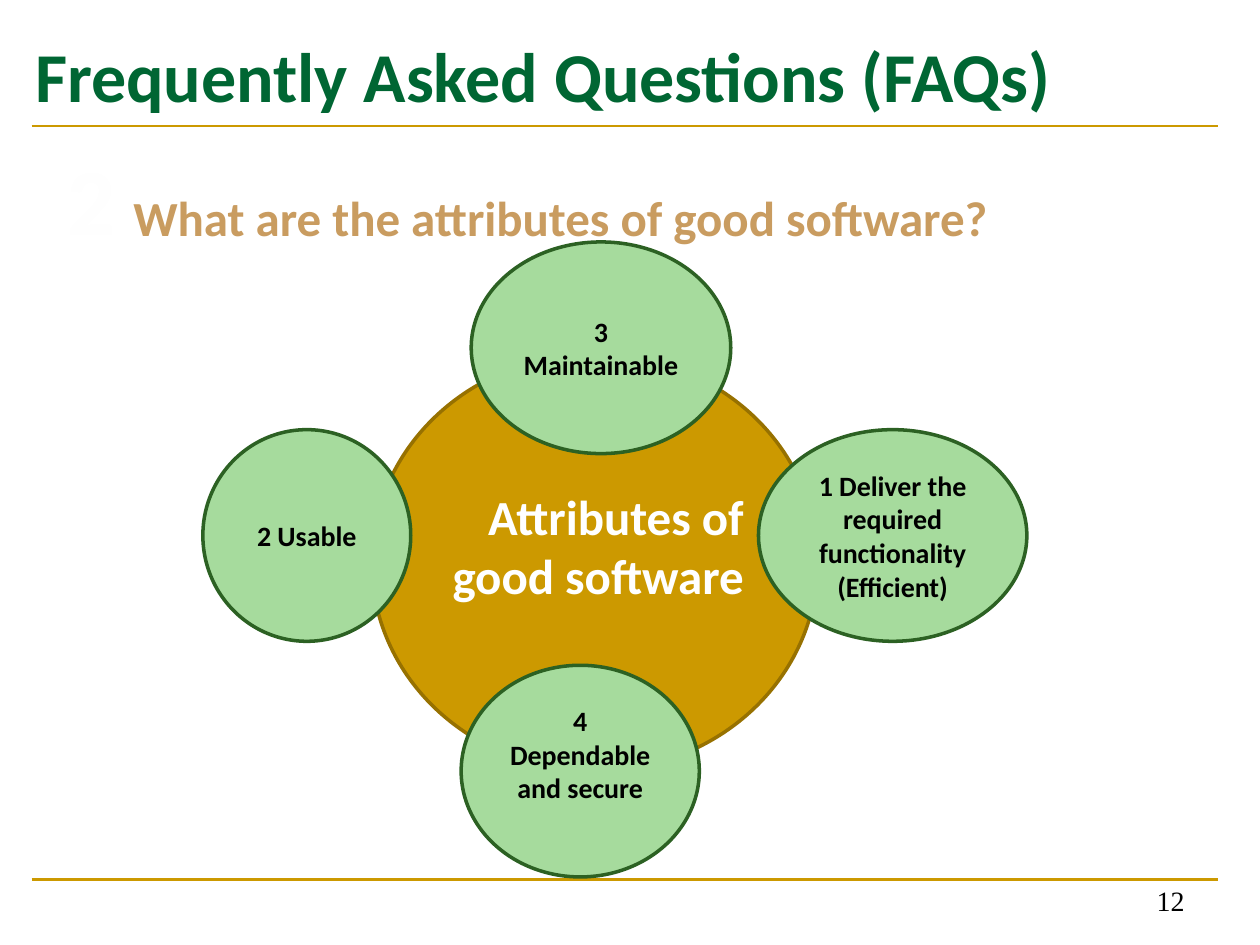
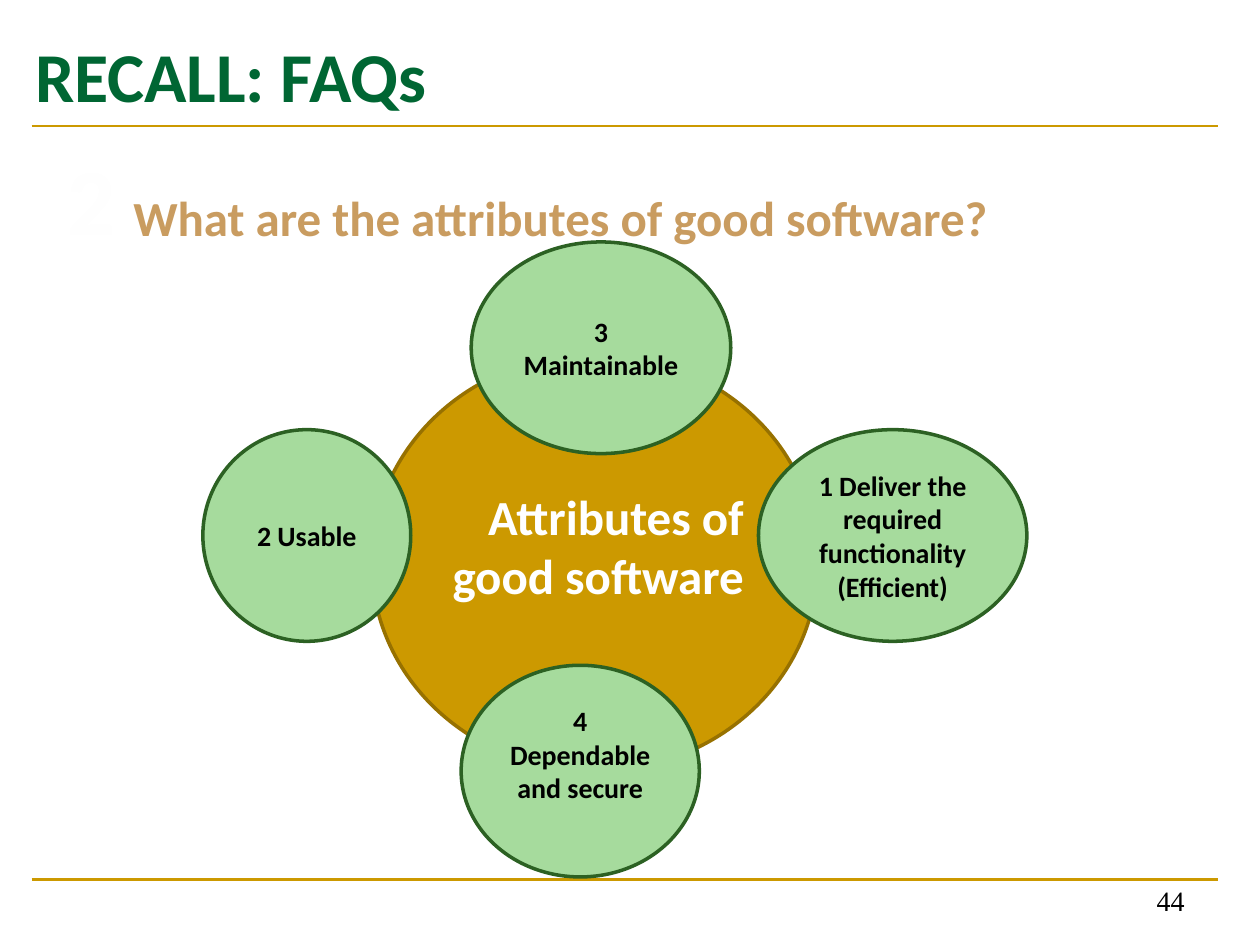
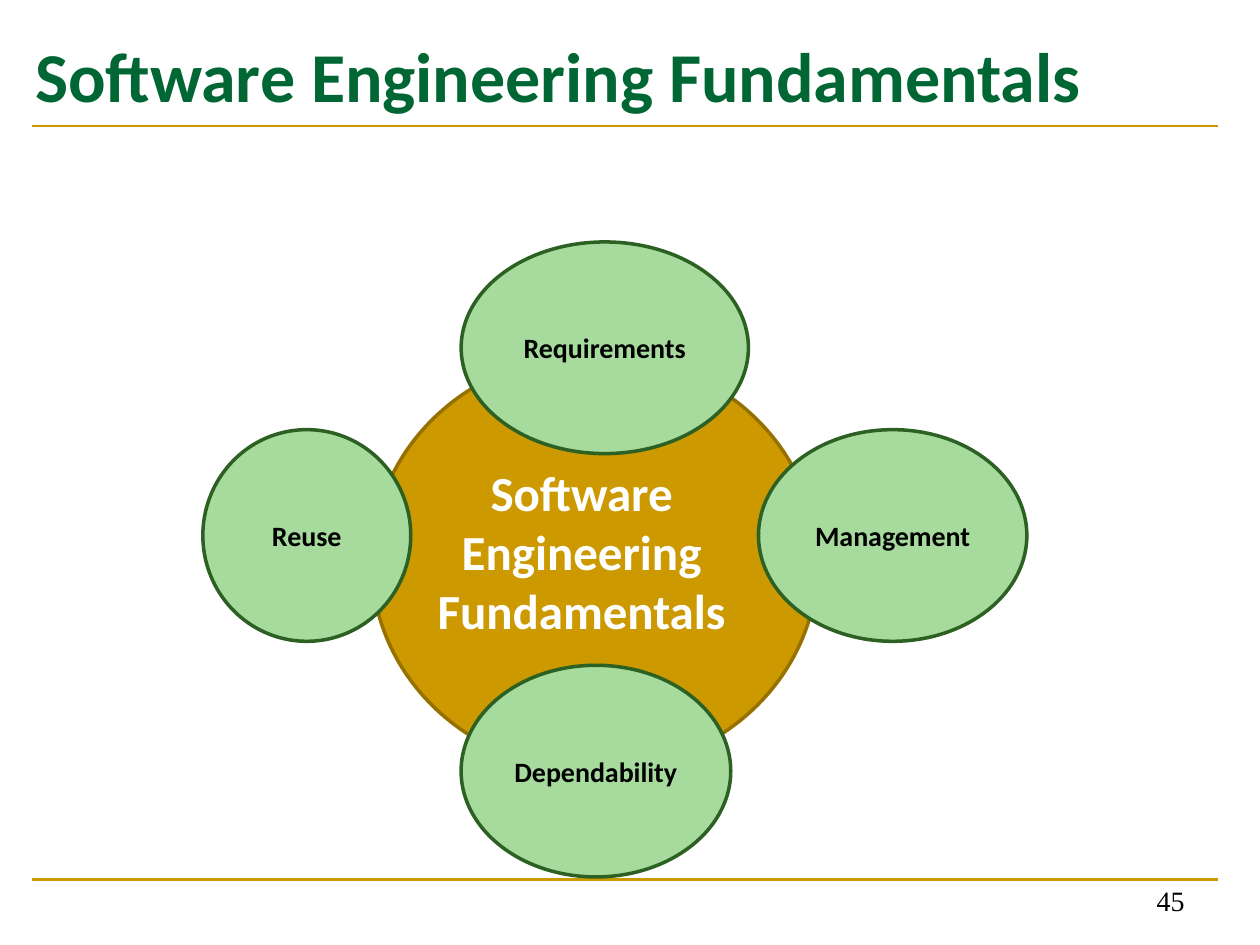
"""Build three slides on good software and software engineering fundamentals."""
from lxml.etree import SubElement
from pptx import Presentation
from pptx.dml.color import RGBColor
from pptx.enum.shapes import MSO_CONNECTOR, MSO_SHAPE
from pptx.enum.text import MSO_ANCHOR, PP_ALIGN
from pptx.oxml import parse_xml
from pptx.oxml.ns import nsdecls, qn
from pptx.util import Inches, Pt

GREEN = RGBColor(0x00, 0x66, 0x33)
GOLD = RGBColor(0xCC, 0x99, 0x00)
DARK_GOLD = RGBColor(0x97, 0x71, 0x00)
TAN = RGBColor(0xC9, 0x9C, 0x60)
LEAF = RGBColor(0xA6, 0xDB, 0x9D)
DARK_LEAF = RGBColor(0x2C, 0x61, 0x23)
BLACK = RGBColor(0x00, 0x00, 0x00)
WHITE = RGBColor(0xFF, 0xFF, 0xFF)
NEAR_WHITE = RGBColor(0xFE, 0xFE, 0xFE)

QUESTION = "What are the attributes of good software?"
ATTRIBUTES = {
    "center": ("Attributes of\ngood software", (3.45, 3.81, 2.55, 1.04), PP_ALIGN.RIGHT),
    "satellites": [
        ("1 Deliver the required functionality\n(Efficient)", (6.02, 3.41, 2.13, 1.68), 0.05),
        ("2 Usable", (1.61, 3.41, 1.65, 1.68), 0.05),
        ("4 Dependable and secure", (3.66, 5.28, 1.89, 1.68), 0.32),
        ("3 Maintainable", (3.74, 1.92, 2.06, 1.68), 0.05),
    ],
}
FUNDAMENTALS = {
    "center": ("Software Engineering Fundamentals", (3.27, 3.62, 2.69, 1.51), PP_ALIGN.CENTER),
    "satellites": [
        ("Management", (6.02, 3.41, 2.13, 1.68), 0.05),
        ("Reuse", (1.61, 3.41, 1.65, 1.68), 0.05),
        ("Dependability", (3.66, 5.28, 2.14, 1.68), 0.05),
        ("Requirements", (3.66, 1.92, 2.28, 1.68), 0.05),
    ],
}
SLIDES = [
    ("Frequently Asked Questions (FAQs)", "12", QUESTION, ATTRIBUTES),
    ("RECALL: FAQs", "44", QUESTION, ATTRIBUTES),
    ("Software Engineering Fundamentals", "45", None, FUNDAMENTALS),
]


def add_text(slide, text, box, shape=None, size=16, color=BLACK, bold=True, font="Calibri",
             align=PP_ALIGN.LEFT, anchor=MSO_ANCHOR.TOP, wrap=True, bottom=0.05):
    """Write text into the given shape, or into a new text box."""
    shape = shape or slide.shapes.add_textbox(*map(Inches, box))
    frame = shape.text_frame
    frame.word_wrap = wrap
    frame.vertical_anchor = anchor
    frame.margin_bottom = Inches(bottom)
    frame.text = text
    for paragraph in frame.paragraphs:
        paragraph.alignment = align
        for run in paragraph.runs:
            run.font.name = font
            run.font.size = Pt(size)
            run.font.bold = bold
            run.font.color.rgb = color
    return shape


def add_ellipse(slide, box, fill, line):
    """Draw a filled ellipse with an outline."""
    ellipse = slide.shapes.add_shape(MSO_SHAPE.OVAL, *map(Inches, box))
    ellipse.shadow.inherit = False
    ellipse.fill.solid()
    ellipse.fill.fore_color.rgb = fill
    ellipse.line.color.rgb = line
    ellipse.line.width = Pt(2)
    return ellipse


presentation = Presentation()
presentation.slide_width = Inches(10)
presentation.slide_height = Inches(7.5)

for title, number, question, diagram in SLIDES:
    slide = presentation.slides.add_slide(presentation.slide_layouts[6])

    for height in (6.98, 1):
        rule = slide.shapes.add_connector(
            MSO_CONNECTOR.STRAIGHT, Inches(0.25), Inches(height), Inches(9.67), Inches(height))
        rule.line.color.rgb = GOLD
        rule.line.width = Pt(1.5)
        SubElement(rule._element.spPr, qn("a:effectLst"))

    add_text(slide, title, (0.18, 0.21, 9.55, 1.17), size=40, color=GREEN)
    add_text(slide, number, (7.17, 6.83, 2.33, 0.5), font="Times New Roman", bold=False,
             align=PP_ALIGN.RIGHT, anchor=MSO_ANCHOR.BOTTOM)

    if question:
        numeral = add_text(slide, "2", (0.43, 1.07, 0.59, 1.01), size=54, color=NEAR_WHITE,
                           align=PP_ALIGN.CENTER, wrap=False)
        properties = numeral.text_frame.paragraphs[0].runs[0].font._element
        properties.set("spc", "50")
        properties.insert(0, parse_xml(
            f'<a:ln {nsdecls("a")} w="9525"><a:solidFill>'
            f'<a:srgbClr val="{GOLD}"/></a:solidFill></a:ln>'))
        add_text(slide, question, (0.96, 1.44, 8.89, 0.6), size=28, color=TAN)

    add_ellipse(slide, (2.95, 2.81, 3.54, 3.31), GOLD, DARK_GOLD)
    center_text, center_box, center_align = diagram["center"]
    add_text(slide, center_text, center_box, size=28, color=WHITE, align=center_align)
    for label, box, bottom in diagram["satellites"]:
        satellite = add_ellipse(slide, box, LEAF, DARK_LEAF)
        add_text(slide, label, box, shape=satellite, align=PP_ALIGN.CENTER,
                 anchor=MSO_ANCHOR.MIDDLE, bottom=bottom)

presentation.save("out.pptx")
